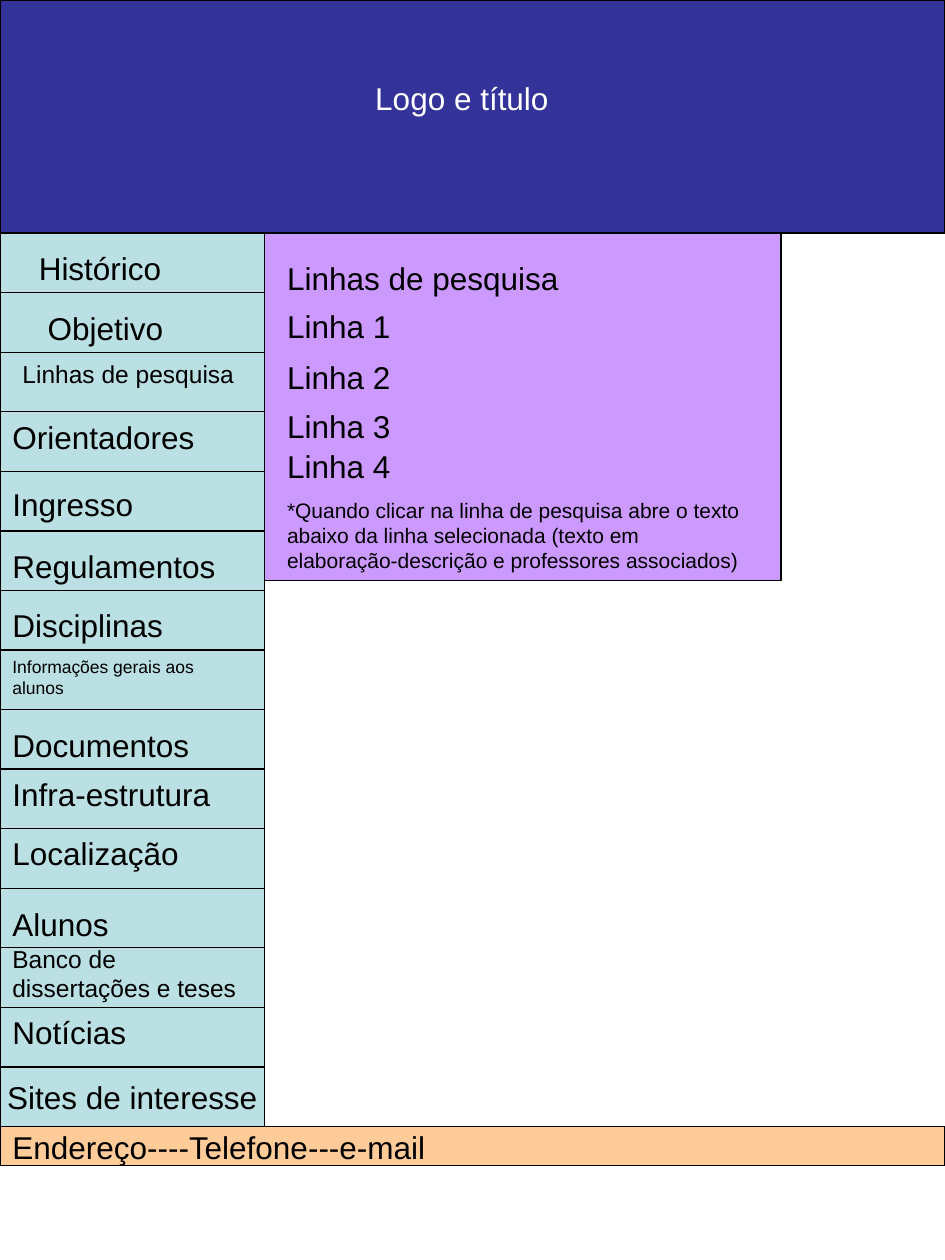
from pptx import Presentation
from pptx.dml.color import RGBColor
from pptx.enum import shapes, text
from pptx.util import Inches, Pt

BLACK = RGBColor(0x00, 0x00, 0x00)
WHITE = RGBColor(0xFF, 0xFF, 0xFF)
NAVY = RGBColor(0x33, 0x33, 0x99)
TEAL = RGBColor(0xBB, 0xE0, 0xE3)
PURPLE = RGBColor(0xCC, 0x99, 0xFF)
ORANGE = RGBColor(0xFF, 0xCC, 0x99)

PAGE_WIDTH = 7.5
HEADER_HEIGHT = 1.85
FOOTER_TOP = 8.94
MENU_WIDTH = 2.1

# label, left, top, width, height, size
MENU = [
    ("Histórico", 0.21, 1.93, 1.73, 0.4, 18),
    ("Objetivo", 0.28, 2.4, 1.65, 0.4, 18),
    ("Linhas de pesquisa", 0.08, 2.8, 2.18, 0.33, 14),
    ("Orientadores", 0, 3.27, 1.94, 0.4, 18),
    ("Ingresso", 0, 3.8, 2.02, 0.4, 18),
    ("Regulamentos", 0, 4.29, 2.1, 0.4, 18),
    ("Disciplinas", 0, 4.76, 1.94, 0.4, 18),
    ("Informações gerais aos alunos", 0, 5.16, 2.02, 0.43, 10),
    ("Documentos", 0, 5.71, 2.02, 0.4, 18),
    ("Infra-estrutura", 0, 6.1, 2.02, 0.4, 18),
    ("Localização", 0, 6.57, 2.02, 0.4, 18),
    ("Alunos", 0, 7.13, 2.02, 0.4, 18),
    ("Banco de dissertações e teses", 0, 7.44, 2.1, 0.57, 14),
    ("Notícias", 0, 7.99, 2.1, 0.4, 18),
]
LAST_ITEM = "Sites de interesse"

RESEARCH_LINES = [
    ("Linhas de pesquisa", 2.01),
    ("Linha 1", 2.39),
    ("Linha 2", 2.79),
    ("Linha 3", 3.18),
    ("Linha 4", 3.5),
]
RESEARCH_NOTE = (
    "*Quando clicar na linha de pesquisa abre o texto abaixo da linha "
    "selecionada (texto em elaboração-descrição e professores associados)"
)


def write(frame, words, size, color):
    frame.text = words
    font = frame.paragraphs[0].runs[0].font
    font.name = "Arial"
    font.size = Pt(size)
    font.color.rgb = color


def add_block(page, left, top, width, height, fill):
    block = page.shapes.add_shape(
        shapes.MSO_SHAPE.RECTANGLE,
        Inches(left), Inches(top), Inches(width), Inches(height),
    )
    block.shadow.inherit = False
    block.fill.solid()
    block.fill.fore_color.rgb = fill
    block.line.color.rgb = BLACK
    block.line.width = Pt(0.75)
    return block


def add_label(page, words, left, top, width, height=0.4, size=18, color=BLACK):
    box = page.shapes.add_textbox(
        Inches(left), Inches(top), Inches(width), Inches(height)
    )
    frame = box.text_frame
    frame.word_wrap = True
    frame.auto_size = text.MSO_AUTO_SIZE.SHAPE_TO_FIT_TEXT
    write(frame, words, size, color)


def add_menu(page):
    row_count = len(MENU) + 1
    row_height = (FOOTER_TOP - HEADER_HEIGHT) / row_count
    for row in range(row_count):
        top = HEADER_HEIGHT + row * row_height
        cell = add_block(page, 0, top, MENU_WIDTH, row_height, TEAL)
    frame = cell.text_frame
    frame.word_wrap = False
    frame.vertical_anchor = text.MSO_ANCHOR.MIDDLE
    write(frame, LAST_ITEM, 18, BLACK)
    frame.paragraphs[0].alignment = text.PP_ALIGN.CENTER
    for item in MENU:
        add_label(page, *item)


def add_research_panel(page):
    add_block(page, MENU_WIDTH, HEADER_HEIGHT, 4.1, 2.76, PURPLE)
    for words, top in RESEARCH_LINES:
        add_label(page, words, 2.18, top, 3.7)
    add_label(page, RESEARCH_NOTE, 2.18, 3.9, 3.86, 0.7, size=12)


def main():
    deck = Presentation()
    deck.slide_width = Inches(PAGE_WIDTH)
    deck.slide_height = Inches(10)
    page = deck.slides.add_slide(deck.slide_layouts[6])

    add_block(page, 0, 0, PAGE_WIDTH, HEADER_HEIGHT, NAVY)
    add_label(page, "Logo e título", 2.88, 0.58, 3.54, color=WHITE)
    add_menu(page)
    add_block(page, 0, FOOTER_TOP, PAGE_WIDTH, 0.31, ORANGE)
    add_label(page, "Endereço----Telefone---e-mail", 0, 8.9, PAGE_WIDTH)
    add_research_panel(page)

    deck.save("out.pptx")


if __name__ == "__main__":
    main()
